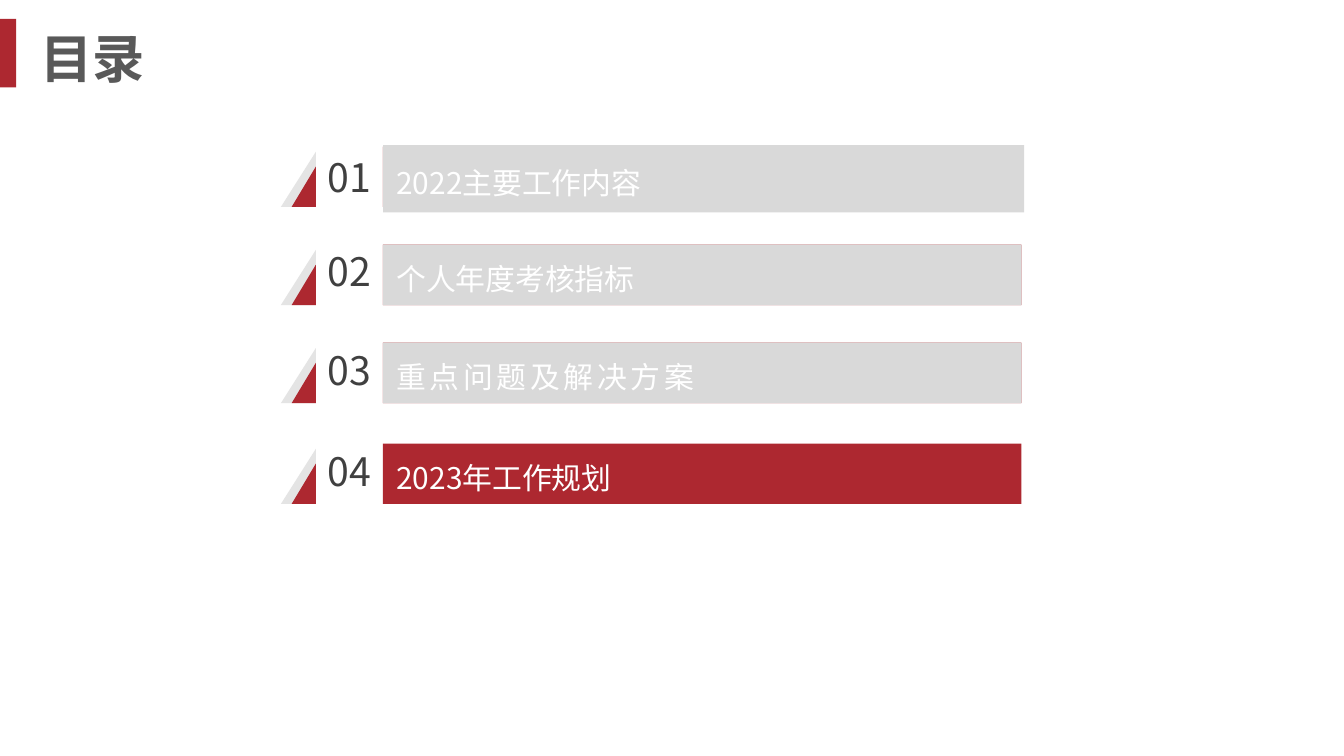
import pptx
import pptx.dml.color
import pptx.enum.shapes
import pptx.enum.text
import pptx.oxml.ns
import pptx.util
import lxml.etree

RED = pptx.dml.color.RGBColor(0xAD, 0x28, 0x30)
PALE = pptx.dml.color.RGBColor(0xE4, 0xE4, 0xE4)
GRAY = pptx.dml.color.RGBColor(0xD9, 0xD9, 0xD9)
DARK = pptx.dml.color.RGBColor(0x40, 0x40, 0x40)
TITLE = pptx.dml.color.RGBColor(0x59, 0x59, 0x59)
WHITE = pptx.dml.color.RGBColor(0xFF, 0xFF, 0xFF)
FONT = "Noto Sans CJK SC"
UNIT = pptx.util.Inches(0.01)

prs = pptx.Presentation()
prs.slide_width = 1000 * UNIT
prs.slide_height = prs.slide_width * 9 // 16
s = prs.slides.add_slide(prs.slide_layouts.get_by_name("Comparison"))


def write(sp, text, box, size, color, bold=False, align="LEFT", inset=(10, 5, 5),
          before=0.0, line=1.0, spacing=0):
    sp.left, sp.top, sp.width, sp.height = [v * UNIT for v in box]
    tf = sp.text_frame
    tf.word_wrap = True
    tf.auto_size = pptx.enum.text.MSO_AUTO_SIZE.NONE
    tf.vertical_anchor = pptx.enum.text.MSO_ANCHOR.MIDDLE
    tf.margin_left = tf.margin_right = inset[0] * UNIT
    tf.margin_top, tf.margin_bottom = inset[1] * UNIT, inset[2] * UNIT
    p = tf.paragraphs[0]
    p.alignment = pptx.enum.text.PP_ALIGN[align]
    p.line_spacing = line
    p.space_before = pptx.util.Pt(before * size)
    pPr = p._p.get_or_add_pPr()
    pPr.set("marL", "0")
    pPr.set("indent", "0")
    lxml.etree.SubElement(pPr, pptx.oxml.ns.qn("a:buNone"))
    r = p.add_run()
    r.text = text
    r.font.size = pptx.util.Pt(size)
    r.font.bold = bold
    r.font.name = FONT
    r.font.color.rgb = color
    rPr = r._r.get_or_add_rPr()
    lxml.etree.SubElement(rPr, pptx.oxml.ns.qn("a:ea")).set("typeface", FONT)
    if spacing:
        rPr.set("spc", str(spacing * 100))


def paint(sp, color):
    sp.fill.solid()
    sp.fill.fore_color.rgb = color
    sp.line.fill.background()
    sp.shadow.inherit = False


accent = s.shapes.add_shape(pptx.enum.shapes.MSO_SHAPE.RECTANGLE,
                            0, 14 * UNIT, 12 * UNIT, 51 * UNIT)
paint(accent, RED)
write(s.shapes.title, "目录", (20, 14, 827, 51), 28, TITLE, bold=True,
      inset=(10, 9, 3), before=0.2)

LEFT, EDGE, BAR, RIGHT, HEIGHT = 209, 235, 285, 760, 45
rows = [
    ("2022主要工作内容", 109, 109, (285, 108, 477, 50), 0),
    ("个人年度考核指标", 182, 179, (285, 182, 475, 45), 0),
    ("重点问题及解决方案", 255, 253, (285, 255, 475, 45), 2),
    ("2023年工作规划", 330, 328, (285, 330, 475, 45), 0),
]
for n, (text, top, number_top, box, spacing) in enumerate(rows, 1):
    bottom = top + HEIGHT
    back = [(EDGE, top + 4), (EDGE, bottom), (LEFT, bottom)]
    front = [(EDGE, top + 15), (EDGE, bottom), (LEFT + 8, bottom)]
    bar = [(BAR, top), (RIGHT, top), (RIGHT, bottom), (BAR, bottom)]
    for contours, color in (([back], PALE), ([front, bar], RED)):
        fb = s.shapes.build_freeform(*contours[0][0], scale=UNIT)
        for points in contours:
            fb.move_to(*points[0])
            fb.add_line_segments(points[1:], close=True)
        paint(fb.convert_to_shape(), color)
    write(s.shapes.add_textbox(0, 0, 0, 0), f"{n:02d}",
          (EDGE, number_top, BAR - EDGE, HEIGHT), 21, DARK,
          align="CENTER", inset=(0, 0, 0))
    sp = s.placeholders[n]
    s.shapes._spTree.append(sp._element)
    write(sp, text, box, 16, WHITE, before=0.2, line=1.2, spacing=spacing)
    if n < len(rows):
        sp.fill.solid()
        sp.fill.fore_color.rgb = GRAY

for sp in list(s.placeholders):
    if not sp.text_frame.text:
        sp._element.getparent().remove(sp._element)

prs.save("out.pptx")
